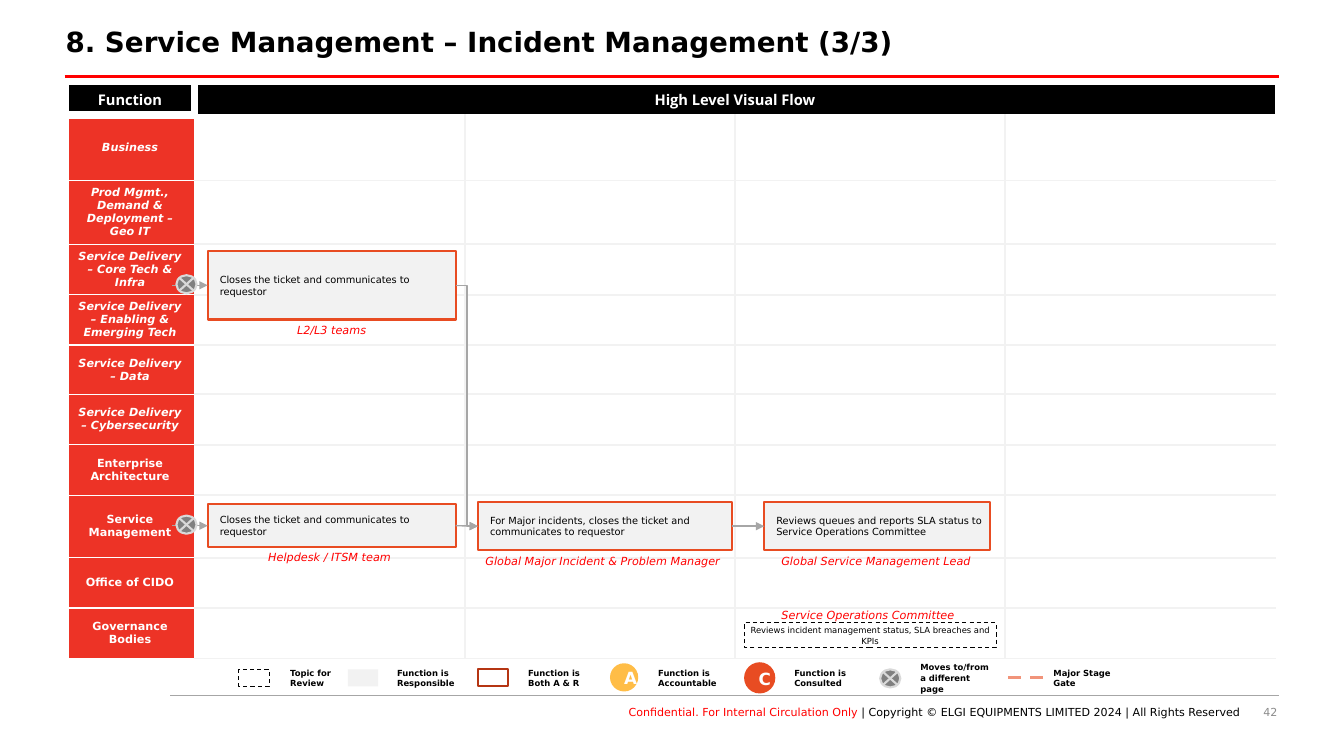
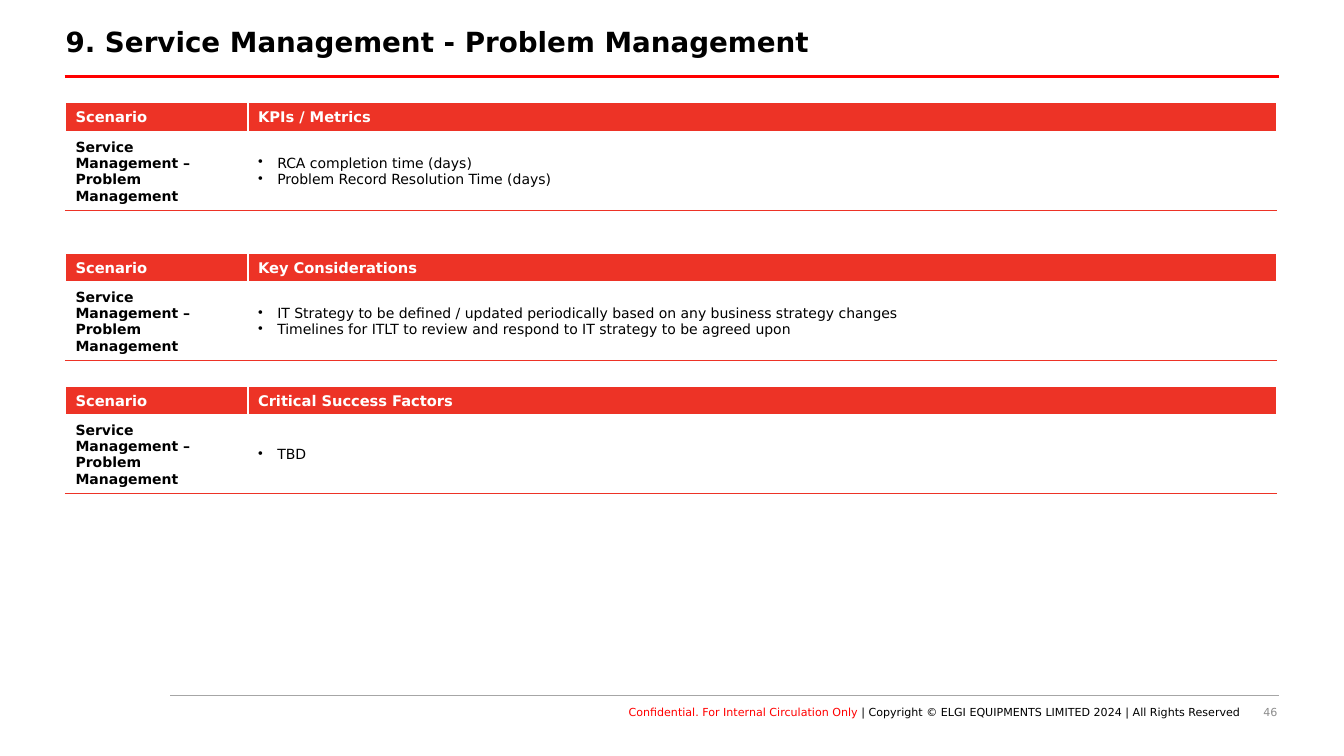
from lxml import etree
from pptx import Presentation
from pptx import util as u
from pptx.dml.color import RGBColor
from pptx.enum import dml, shapes, text
from pptx.oxml import ns

RED, BRAND, ORANGE = "FF0000", "ED3326", "E84C22"
BLACK, WHITE, PALE = "000000", "FFFFFF", "F2F2F2"
GREY, MID, SILVER = "A6A6A6", "808080", "D9D9D9"
FONT = "DejaVu Sans"
LEFT, CENTER, RIGHT = text.PP_ALIGN.LEFT, text.PP_ALIGN.CENTER, text.PP_ALIGN.RIGHT
RECT, OVAL = shapes.MSO_SHAPE.RECTANGLE, shapes.MSO_SHAPE.OVAL
JUNCTION = shapes.MSO_SHAPE.FLOWCHART_SUMMING_JUNCTION
STRAIGHT, ELBOW = shapes.MSO_CONNECTOR.STRAIGHT, shapes.MSO_CONNECTOR.ELBOW


def color(value):
    return RGBColor.from_string(value)


class Deck:
    def __init__(self):
        self.prs = Presentation()
        self.prs.slide_width = u.Inches(13.33)
        self.prs.slide_height = u.Inches(7.5)
        self.s = None

    def slide(self, title, number):
        self.s = self.prs.slides.add_slide(self.prs.slide_layouts[5])
        sp = self.s.shapes.title
        sp.left, sp.top, sp.width, sp.height = map(u.Inches, (0.65, 0.23, 12.01, 0.41))
        self.add_text(sp.text_frame, [title], 19.8, bold=True, spacing=0.9,
                      margins=(0, 0.05, 0.1, 0.05), anchor=text.MSO_ANCHOR.TOP)
        sp.text_frame.auto_size = text.MSO_AUTO_SIZE.NONE
        self.line((0.64, 0.76), (12.69, 0.76), RED, 2.25)
        self.line((1.69, 6.9), (12.69, 6.9), GREY, 0.5)
        footer = [("Conﬁdential. For Internal Circulation Only ", RED),
                  ("| Copyright © ELGI EQUIPMENTS LIMITED 2024 | All Rights Reserved", BLACK)]
        style = dict(size=7.9, align=RIGHT, margins=(0, 0, 0, 0), anchor=text.MSO_ANCHOR.TOP)
        self.text((2.46, 7, 9.84, 0.2), [footer], **style)
        self.text((9.67, 7, 3, 0.2), [str(number)], ink="8C8C8C", **style)

    def add_text(self, tf, paragraphs, size, ink=BLACK, bold=False, italic=False, align=LEFT,
                 spacing=None, margins=None, anchor=text.MSO_ANCHOR.MIDDLE, font=FONT,
                 bullet=False):
        tf.word_wrap = True
        tf.vertical_anchor = anchor
        if margins:
            (tf.margin_left, tf.margin_top,
             tf.margin_right, tf.margin_bottom) = map(u.Inches, margins)
        for i, runs in enumerate(paragraphs):
            p = tf.add_paragraph() if i else tf.paragraphs[0]
            p.alignment = align
            p.space_before = u.Pt(0)
            if spacing:
                p.line_spacing = spacing
            if bullet:
                props = p._p.get_or_add_pPr()
                props.set("marL", str(u.Inches(0.19)))
                props.set("indent", str(-u.Inches(0.19)))
                etree.SubElement(props, ns.qn("a:buChar")).set("char", "•")
            for words, tint in [(runs, ink)] if isinstance(runs, str) else runs:
                r = p.add_run()
                r.text = words
                r.font.name, r.font.size = font, u.Pt(size)
                r.font.bold, r.font.italic = bold, italic
                r.font.color.rgb = color(tint)

    def text(self, box, paragraphs, **style):
        sp = self.s.shapes.add_textbox(*map(u.Inches, box))
        self.add_text(sp.text_frame, paragraphs, **style)

    def shape(self, kind, box, fill=None, line=None, width=1.5, dashed=False):
        sp = self.s.shapes.add_shape(kind, *map(u.Inches, box))
        sp.shadow.inherit = False
        if fill:
            sp.fill.solid()
            sp.fill.fore_color.rgb = color(fill)
        else:
            sp.fill.background()
        if line:
            self.stroke(sp.line, line, width, dashed)
        else:
            sp.line.fill.background()
        return sp

    def stroke(self, line, tint, width, dashed=False):
        line.color.rgb = color(tint)
        line.width = u.Pt(width)
        if dashed:
            line.dash_style = dml.MSO_LINE.DASH

    def line(self, start, end, tint=GREY, width=1, dashed=False, kind=STRAIGHT):
        cx = self.s.shapes.add_connector(kind, *map(u.Inches, start + end))
        self.stroke(cx.line, tint, width, dashed)
        etree.SubElement(cx._element.spPr, ns.qn("a:effectLst"))
        return cx

    def arrow(self, source, target, kind=STRAIGHT):
        cx = self.line((0, 0), (1, 1), kind=kind)
        if isinstance(source, tuple):
            cx.begin_x, cx.begin_y = source
        else:
            cx.begin_connect(source, 3)
        cx.end_connect(target, 1)
        ln = cx._element.spPr.find(ns.qn("a:ln"))
        etree.SubElement(ln, ns.qn("a:tailEnd")).set("type", "triangle")

    def step(self, box, words, owner, owner_center, owner_top):
        sp = self.shape(RECT, box, PALE, ORANGE)
        self.add_text(sp.text_frame, [words], 7, margins=(0.12, 0, 0, 0))
        self.caption(owner, owner_center, owner_top)
        return sp

    def caption(self, words, center, top):
        self.text((center - 1.3, top, 2.6, 0.24), [words], size=8, ink=RED, italic=True,
                  align=CENTER, anchor=text.MSO_ANCHOR.TOP)

    def junction(self, left, top):
        self.shape(JUNCTION, (left, top, 0.2, 0.18), MID, SILVER)

    def entry(self, target):
        middle = target.top + target.height // 2
        self.arrow((u.Inches(1.71), middle), target)
        self.junction(1.75, middle / u.Inches(1) - 0.1)

    def table(self, top, cols, rows):
        box = (0.65, top, sum(cols), sum(rows))
        tbl = self.s.shapes.add_table(len(rows), len(cols), *map(u.Inches, box)).table
        tbl.horz_banding = False
        for col, width in zip(tbl.columns, cols):
            col.width = u.Inches(width)
        for row, height in zip(tbl.rows, rows):
            row.height = u.Inches(height)
        return tbl

    def cell(self, cell, fill, borders, paragraphs=(), **style):
        if fill:
            cell.fill.solid()
            cell.fill.fore_color.rgb = color(fill)
        else:
            cell.fill.background()
        props = cell._tc.get_or_add_tcPr()
        for i, side in enumerate(side for side in "LRTB" if side in borders):
            tint, width = borders[side]
            ln = etree.Element(ns.qn("a:ln" + side), w=str(u.Pt(width)))
            solid = etree.SubElement(ln, ns.qn("a:solidFill"))
            etree.SubElement(solid, ns.qn("a:srgbClr")).set("val", tint)
            props.insert(i, ln)
        if paragraphs:
            cell.vertical_anchor = text.MSO_ANCHOR.MIDDLE
            self.add_text(cell.text_frame, paragraphs, anchor=None, **style)

    def swimlanes(self, functions):
        heights = [0.3, 0.65, 0.61, 0.5, 0.5, 0.49, 0.5, 0.5, 0.62, 0.5, 0.5]
        tbl = self.table(0.84, [1.28] + [2.68] * 4, heights)
        tbl.cell(0, 1).merge(tbl.cell(0, 4))
        thin, thick, grid = (WHITE, 1), (WHITE, 6), (PALE, 1.5)
        head = dict(size=10.5, ink=WHITE, bold=True, align=CENTER, font="Open Sans")
        self.cell(tbl.cell(0, 0), BLACK, dict(L=thick, R=thick, T=thin, B=thick),
                  ["Function"], **head)
        self.cell(tbl.cell(0, 1), BLACK, dict(L=thick, T=thin, B=thin),
                  ["High Level Visual Flow"], **head)
        for col in range(2, 5):
            self.cell(tbl.cell(0, col), BLACK, dict(T=thin, B=thin))
        for row, (name, italic) in enumerate(functions, 1):
            top = thick if row == 1 else thin
            self.cell(tbl.cell(row, 0), BRAND, dict(L=thick, T=top, B=thin), [name],
                      size=8, ink=WHITE, bold=True, italic=italic, align=CENTER)
            for col in range(1, 5):
                sides = "B" + "T" * (row > 1) + "L" * (col > 1) + "R" * (col < 4)
                self.cell(tbl.cell(row, col), None, dict.fromkeys(sides, grid))

    def legend(self):
        labels = [(2.78, ["Topic for", "Review"]), (3.84, ["Function is Responsible"]),
                  (5.14, ["Function is Both A & R"]), (6.43, ["Function is Accountable"]),
                  (7.78, ["Function is Consulted"]), (9.03, ["Moves to/from a different page"]),
                  (10.35, ["Major Stage Gate"])]
        inset = (0.1,) * 4
        for left, words in labels:
            self.text((left, 6.56, 0.9, 0.33), words, size=6, bold=True, spacing=1.06,
                      margins=inset)
        self.shape(RECT, (2.37, 6.64, 0.3, 0.17), None, BLACK, 0.75, True)
        self.shape(RECT, (3.45, 6.64, 0.3, 0.17), PALE)
        self.shape(RECT, (4.74, 6.64, 0.3, 0.17), None, "B53513")
        for letter, left, top, size, fill in [("A", 6.05, 6.58, 0.28, "FFBD47"),
                                              ("C", 7.38, 6.57, 0.31, ORANGE)]:
            sp = self.shape(OVAL, (left, top, size, size), fill)
            self.add_text(sp.text_frame, [letter], 12, WHITE, True, align=CENTER,
                          spacing=1.06, margins=inset)
        self.junction(8.73, 6.64)
        self.line((10, 6.72), (10.35, 6.72), "F1947A", 2.25, True)

    def scenario(self, top, heading, points):
        tbl = self.table(top, [1.81, 10.2], [0.3, 0.76])
        sides = dict.fromkeys("LRT", (WHITE, 1))
        for col, words in enumerate(["Scenario", heading]):
            self.cell(tbl.cell(0, col), BRAND, dict(sides, B=(WHITE, 3)), [words],
                      size=10.5, ink=WHITE, bold=True)
        body = dict(sides, B=(BRAND, 1))
        self.cell(tbl.cell(1, 0), None, body, ["Service Management – Problem Management"],
                  size=10, bold=True)
        self.cell(tbl.cell(1, 1), None, body, points, size=10, bullet=True)


def incident_slide(deck):
    deck.slide("8. Service Management – Incident Management (3/3)", 42)
    deck.swimlanes([
        ("Business", True),
        ("Prod Mgmt., Demand & Deployment – Geo IT", True),
        ("Service Delivery – Core Tech & Infra", True),
        ("Service Delivery – Enabling & Emerging Tech", True),
        ("Service Delivery – Data", True),
        ("Service Delivery – Cybersecurity", True),
        ("Enterprise Architecture", False),
        ("Service Management", False),
        ("Office of CIDO", False),
        ("Governance Bodies", False),
    ])
    deck.legend()
    closes = "Closes the ticket and communicates to requestor"
    support = deck.step((2.06, 2.49, 2.46, 0.68), closes, "L2/L3 teams", 3.29, 3.16)
    helpdesk = deck.step((2.06, 5, 2.46, 0.43), closes, "Helpdesk / ITSM team", 3.27, 5.41)
    major = deck.step((4.74, 4.98, 2.52, 0.48),
                      "For Major incidents, closes the ticket and communicates to requestor",
                      "Global Major Incident & Problem Manager", 5.98, 5.45)
    review = deck.step((7.58, 4.98, 2.24, 0.48),
                       "Reviews queues and reports SLA status to Service Operations Committee",
                       "Global Service Management Lead", 8.69, 5.45)
    for target in (support, helpdesk):
        deck.entry(target)
    deck.arrow(helpdesk, major)
    deck.arrow(major, review)
    deck.arrow(support, major, ELBOW)
    topic = deck.shape(RECT, (7.38, 6.18, 2.5, 0.24), WHITE, BLACK, 0.75, True)
    deck.add_text(topic.text_frame,
                  ["Reviews incident management status, SLA breaches and KPIs"],
                  6, align=CENTER, spacing=1.06, margins=(0.05, 0, 0.05, 0))
    deck.caption("Service Operations Committee", 8.61, 5.99)


def problem_slide(deck):
    deck.slide("9. Service Management - Problem Management", 46)
    deck.scenario(1.02, "KPIs / Metrics",
                  ["RCA completion time (days)", "Problem Record Resolution Time (days)"])
    deck.scenario(2.51, "Key Considerations", [
        "IT Strategy to be defined / updated periodically based on any business strategy changes",
        "Timelines for ITLT to review and respond to IT strategy to be agreed upon"])
    deck.scenario(3.83, "Critical Success Factors", ["TBD"])


def main():
    deck = Deck()
    incident_slide(deck)
    problem_slide(deck)
    deck.prs.save("out.pptx")


if __name__ == "__main__":
    main()
